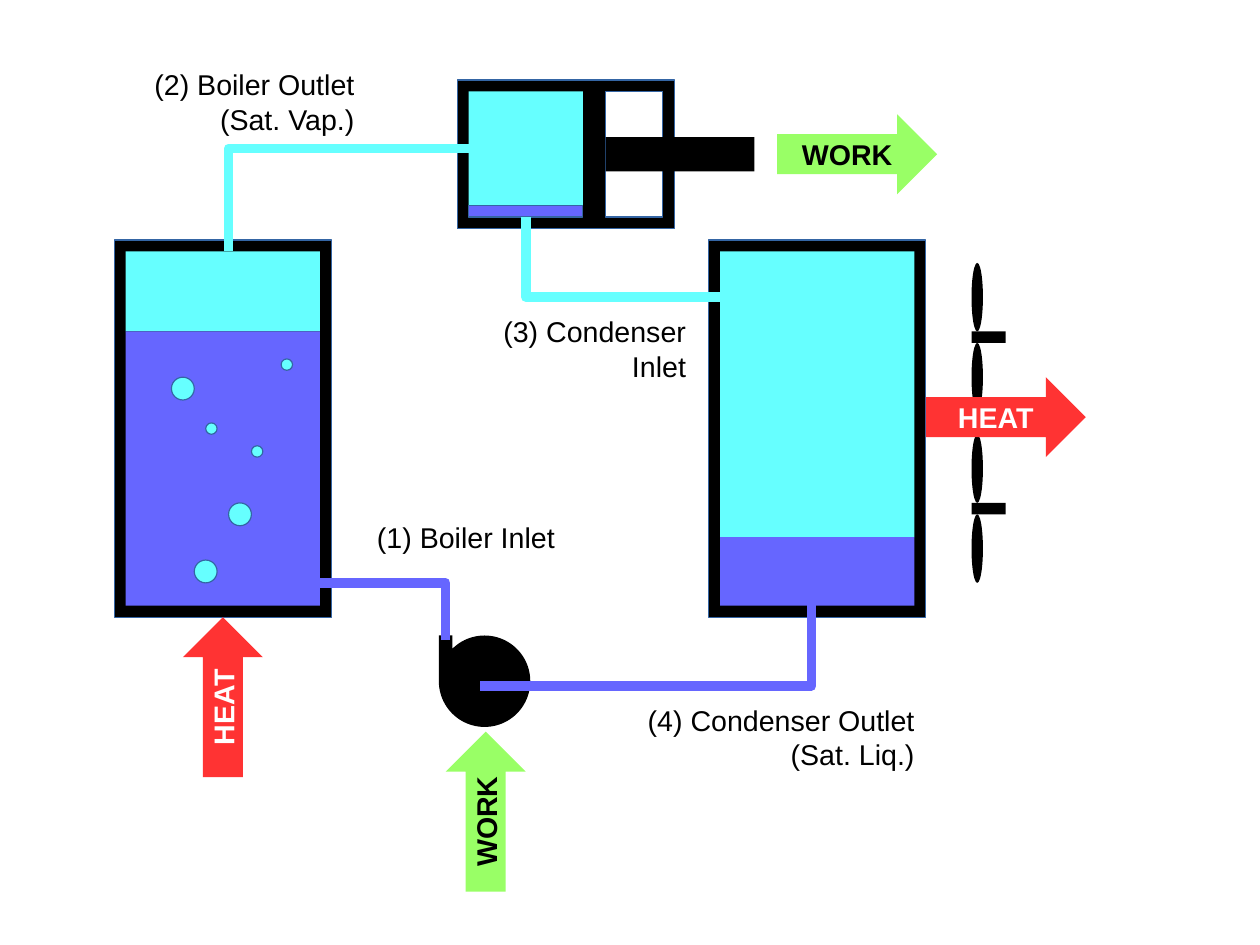
"""Draw a steam power cycle: boiler, piston engine, condenser and pump."""
from lxml import etree
from pptx import Presentation
from pptx import util as u
from pptx.dml.color import RGBColor
from pptx.enum import shapes, text
from pptx.oxml.ns import qn

PX = 9144
SLIDE = (u.Cm(28), u.Cm(21))
WALL = 10
PIPE_WIDTH = u.Pt(6)
ARROW = (140, 70)
COLOURS = {
    "iron": "000000", "void": "FFFFFF", "edge": "3465A4",
    "liquid": "6666FF", "vapour": "66FFFF",
    "work": "99FF66", "heat": "FF3333",
}

# left, top, width, height, fluid width, vapour height, liquid edge
VESSELS = [
    (100, 210, 190, 330, 170, 70, None),
    (400, 70, 190, 130, 100, 100, "edge"),
    (620, 210, 190, 330, 170, 250, None),
]
PUMP = (384, 556, 80, 80)
CYLINDER_GAP = (530, 80, 50, 110)
PISTON_ROD = (530, 120, 130, 30)
# left, top, diameter
BUBBLES = [(150, 330, 20), (180, 370, 10), (200, 440, 20),
           (220, 390, 10), (170, 490, 20), (246, 314, 10)]
FAN_LEFT = 850
FAN_TOPS = (230, 380)
BLADE_OFFSETS = (0, 70)
BLADE = (10, 60)
AXLE = (30, 10)
PIPES = [
    ("liquid", [(390, 560), (390, 510), (270, 510)]),
    ("vapour", [(200, 220), (200, 130), (410, 130)]),
    ("vapour", [(460, 190), (460, 260), (630, 260)]),
    ("liquid", [(710, 510), (710, 600), (420, 600)]),
]
LABELS = [
    ((320, 450, 190, 38), "LEFT", ["(1) Boiler Inlet"]),
    ((90, 54, 230, 66), "RIGHT", ["(2) Boiler Outlet", "(Sat. Vap.)"]),
    ((380, 270, 230, 66), "RIGHT", ["(3) Condenser Inlet"]),
    ((530, 610, 280, 66), "RIGHT", ["(4) Condenser Outlet", "(Sat. Liq.)"]),
]
# left, top, rotation, flow, word, word colour
ARROWS = [
    (680, 100, 0, "work", "WORK", "iron"),
    (355, 675, 270, "work", "WORK", "iron"),
    (125, 575, 270, "heat", "HEAT", "void"),
    (810, 330, 0, "heat", "HEAT", "void"),
]
LABEL_FRAME = {"word_wrap": True, "auto_size": text.MSO_AUTO_SIZE.SHAPE_TO_FIT_TEXT}
ARROW_FRAME = {"word_wrap": False, "vertical_anchor": text.MSO_ANCHOR.MIDDLE}
LABEL_FONT = {"name": "Arial", "size": u.Pt(18)}
ARROW_FONT = {**LABEL_FONT, "bold": True}


def rgb(name):
    return RGBColor.from_string(COLOURS[name])


def emu(box):
    return [length * PX for length in box]


def apply(target, formats):
    for key, value in formats.items():
        setattr(target, key, value)


def add_part(slide, kind, box, fill, edge=None):
    part = slide.shapes.add_shape(kind, *emu(box))
    part.shadow.inherit = False
    part.fill.solid()
    part.fill.fore_color.rgb = rgb(fill)
    if edge:
        part.line.color.rgb = rgb(edge)
        part.line.width = 0
    else:
        part.line.fill.background()
    return part


def write(frame, lines, align, colour, frame_format, font_format):
    apply(frame, frame_format)
    for index, line in enumerate(lines):
        paragraph = frame.add_paragraph() if index else frame.paragraphs[0]
        paragraph.alignment = getattr(text.PP_ALIGN, align)
        run = paragraph.add_run()
        run.text = line
        apply(run.font, font_format)
        run.font.color.rgb = rgb(colour)


def add_vessel(slide, left, top, width, height, fluid_width, vapour_height, edge):
    rect = shapes.MSO_SHAPE.RECTANGLE
    x, y = left + WALL, top + WALL
    liquid_height = height - 2 * WALL - vapour_height
    add_part(slide, rect, (left, top, width, height), "iron", "edge")
    add_part(slide, rect, (x, y, fluid_width, vapour_height), "vapour")
    add_part(slide, rect, (x, y + vapour_height, fluid_width, liquid_height),
             "liquid", edge)


def add_pump(slide):
    pump = add_part(slide, shapes.MSO_SHAPE.FLOWCHART_SEQUENTIAL_ACCESS_STORAGE,
                    PUMP, "iron")
    pump.rotation = 90
    pump._element.spPr.find(qn("a:xfrm")).set("flipH", "1")


def add_fan(slide, top):
    for offset in BLADE_OFFSETS:
        add_part(slide, shapes.MSO_SHAPE.OVAL, (FAN_LEFT, top + offset, *BLADE), "iron")
    add_part(slide, shapes.MSO_SHAPE.RECTANGLE,
             (FAN_LEFT, top + BLADE[1], *AXLE), "iron")


def add_pipe(slide, fluid, points):
    start, *bends = points
    builder = slide.shapes.build_freeform(*start, scale=PX)
    builder.add_line_segments(bends, close=False)
    pipe = builder.convert_to_shape()
    pipe.shadow.inherit = False
    pipe.fill.background()
    pipe.line.color.rgb = rgb(fluid)
    pipe.line.width = PIPE_WIDTH
    etree.SubElement(pipe._element.spPr.find(qn("a:ln")), qn("a:round"))


def add_arrow(slide, left, top, rotation, flow, word, colour):
    arrow = add_part(slide, shapes.MSO_SHAPE.RIGHT_ARROW, (left, top, *ARROW), flow)
    arrow.rotation = rotation
    write(arrow.text_frame, [word], "CENTER", colour, ARROW_FRAME, ARROW_FONT)


def main():
    deck = Presentation()
    deck.slide_width, deck.slide_height = SLIDE
    slide = deck.slides.add_slide(deck.slide_layouts[6])
    for vessel in VESSELS:
        add_vessel(slide, *vessel)
    add_pump(slide)
    add_part(slide, shapes.MSO_SHAPE.RECTANGLE, CYLINDER_GAP, "void", "edge")
    add_part(slide, shapes.MSO_SHAPE.RECTANGLE, PISTON_ROD, "iron")
    for left, top, size in BUBBLES:
        add_part(slide, shapes.MSO_SHAPE.OVAL, (left, top, size, size),
                 "vapour", "edge")
    for top in FAN_TOPS:
        add_fan(slide, top)
    for fluid, points in PIPES:
        add_pipe(slide, fluid, points)
    for box, align, lines in LABELS:
        label = slide.shapes.add_textbox(*emu(box))
        write(label.text_frame, lines, align, "iron", LABEL_FRAME, LABEL_FONT)
    for arrow in ARROWS:
        add_arrow(slide, *arrow)
    deck.save("out.pptx")


if __name__ == "__main__":
    main()
